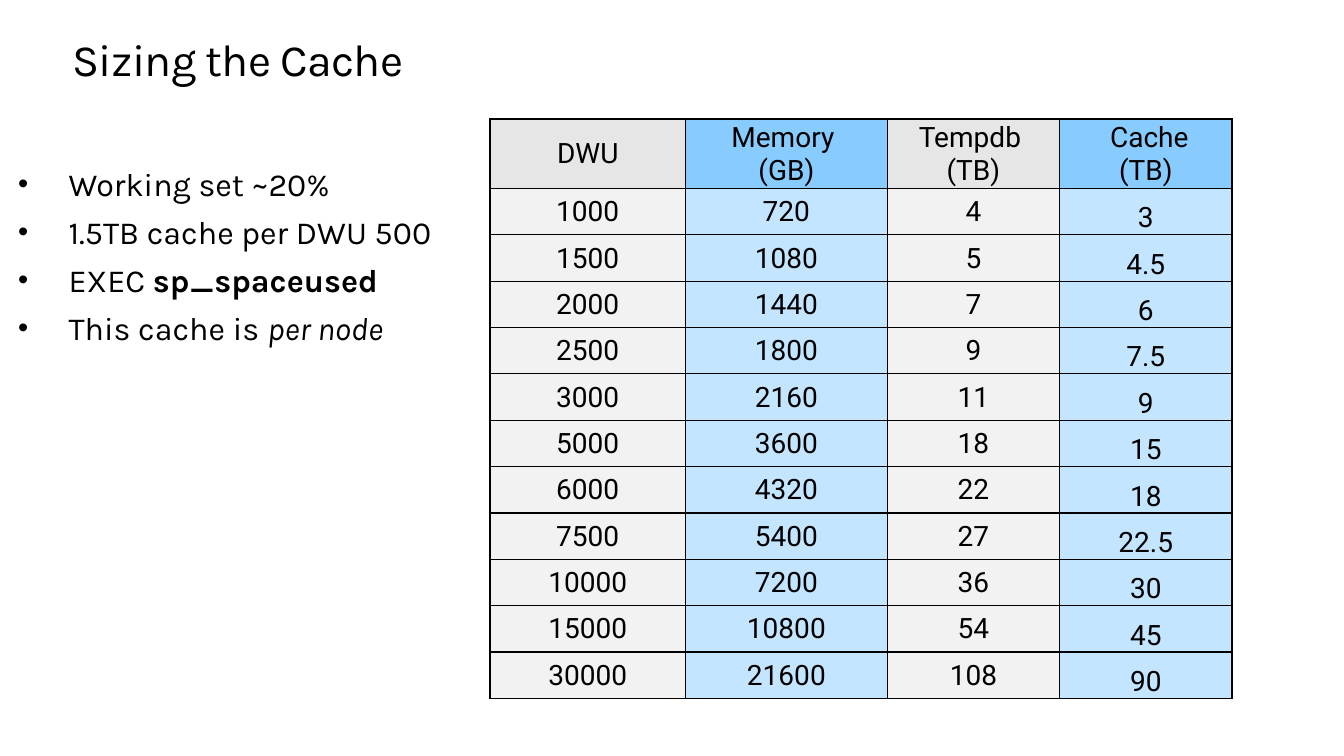
from lxml.etree import SubElement
from pptx import Presentation
from pptx.dml.color import RGBColor
from pptx.enum.text import MSO_ANCHOR, MSO_AUTO_SIZE, PP_ALIGN
from pptx.oxml.ns import qn
from pptx.util import Inches, Pt

BLACK = "000000"
BULLETS = [
    [("Working set ~20%", "")],
    [("1.5TB cache per DWU 500", "")],
    [("EXEC\u00a0", ""), ("sp_spaceused\u00a0", "bold")],
    [("This cache is ", ""), ("per node", "italic")],
]
HEADERS = ["DWU", "Memory \n(GB)", "Tempdb \n(TB)", " Cache\n(TB)"]
SIZES = [
    ("1000", "720", "4", "3"),
    ("1500", "1080", "5", "4.5"),
    ("2000", "1440", "7", "6"),
    ("2500", "1800", "9", "7.5"),
    ("3000", "2160", "11", "9"),
    ("5000", "3600", "18", "15"),
    ("6000", "4320", "22", "18"),
    ("7500", "5400", "27", "22.5"),
    ("10000", "7200", "36", "30"),
    ("15000", "10800", "54", "45"),
    ("30000", "21600", "108", "90"),
]
COLUMN_WIDTHS = [1.94, 2, 1.71, 1.71]
HEADER_HEIGHT, ROW_HEIGHT = 0.69, 0.46
HEADER_FILLS = ["E6E6E6", "88CBFF"]
BODY_FILLS = ["F2F2F2", "C3E5FF"]


def color(value):
    """Turn a hex string into a colour."""
    return RGBColor.from_string(value)


class SlideBuilder:
    """Hold the style and the current slide."""

    text_font = "Karla"
    table_font = "Roboto"

    def __init__(self, presentation):
        """Add a title and content slide."""
        self.slide = presentation.slides.add_slide(presentation.slide_layouts[1])

    def style(self, paragraph, name, size):
        """Set the font of a paragraph."""
        paragraph.font.name = name
        paragraph.font.size = Pt(size)
        paragraph.font.color.rgb = color(BLACK)

    def place(self, shape, left, top, width, height):
        """Place a placeholder and return its text frame."""
        shape.left, shape.top = Inches(left), Inches(top)
        shape.width, shape.height = Inches(width), Inches(height)
        frame = shape.text_frame
        frame.margin_left = frame.margin_right = 0
        frame.margin_top = frame.margin_bottom = 0
        frame.vertical_anchor = MSO_ANCHOR.TOP
        frame.word_wrap = True
        frame.auto_size = MSO_AUTO_SIZE.SHAPE_TO_FIT_TEXT
        return frame

    def title(self, text, *box):
        """Fill the title placeholder."""
        paragraph = self.place(self.slide.shapes.title, *box).paragraphs[0]
        run = paragraph.add_run()
        run.text = text
        run.font._element.set("spc", "-50")
        paragraph.alignment = PP_ALIGN.LEFT
        paragraph.line_spacing = Pt(36.2)
        self.style(paragraph, self.text_font, 32)

    def bullets(self, items, *box):
        """Fill the body placeholder with a bulleted list."""
        frame = self.place(self.slide.placeholders[1], *box)
        for index, runs in enumerate(items):
            paragraph = frame.add_paragraph() if index else frame.paragraphs[0]
            self.bullet(paragraph)
            paragraph.space_before = Pt(6.7 if index else 0)
            self.style(paragraph, self.text_font, 23)
            for text, emphasis in runs:
                run = paragraph.add_run()
                run.text = text
                if emphasis:
                    setattr(run.font, emphasis, True)

    def bullet(self, paragraph):
        """Give a paragraph a hanging bullet."""
        properties = paragraph._p.get_or_add_pPr()
        properties.set("marL", str(Inches(0.5)))
        properties.set("indent", str(-Inches(0.5)))
        bullet_color = SubElement(properties, qn("a:buClr"))
        SubElement(bullet_color, qn("a:srgbClr"), val=BLACK)
        SubElement(properties, qn("a:buSzPct"), val="90000")
        SubElement(properties, qn("a:buFont"), typeface="Arial")
        SubElement(properties, qn("a:buChar"), char="•")

    def table(self, rows, left, top, widths, heights):
        """Add a table with a header row."""
        table = self.slide.shapes.add_table(
            len(rows), len(widths), Inches(left), Inches(top),
            Inches(sum(widths)), Inches(sum(heights))).table
        table.first_row = table.horz_banding = False
        for column, width in zip(table.columns, widths):
            column.width = Inches(width)
        for row, height in zip(table.rows, heights):
            row.height = Inches(height)
        for row_index, values in enumerate(rows):
            fills = BODY_FILLS if row_index else HEADER_FILLS
            for column_index, text in enumerate(values):
                at_bottom = row_index > 0 and column_index == len(widths) - 1
                anchor = MSO_ANCHOR.BOTTOM if at_bottom else MSO_ANCHOR.MIDDLE
                self.cell(table.cell(row_index, column_index), text,
                          fills[column_index % 2], anchor)

    def cell(self, cell, text, fill, anchor):
        """Fill, frame and format a table cell."""
        cell.text = text
        cell.vertical_anchor = anchor
        cell.margin_left = cell.margin_right = cell.margin_top = Inches(0.01)
        cell.margin_bottom = 0
        for paragraph in cell.text_frame.paragraphs:
            paragraph.alignment = PP_ALIGN.CENTER
            self.style(paragraph, self.table_font, 20)
        properties = cell._tc.get_or_add_tcPr()
        for side in ("lnL", "lnR", "lnT", "lnB"):
            border = SubElement(properties, qn(f"a:{side}"), w=str(Pt(1)))
            solid = SubElement(border, qn("a:solidFill"))
            SubElement(solid, qn("a:srgbClr"), val=BLACK)
        cell.fill.solid()
        cell.fill.fore_color.rgb = color(fill)


def main():
    """Build and save the slide."""
    presentation = Presentation()
    presentation.slide_width = Inches(13.33)
    presentation.slide_height = Inches(7.5)
    builder = SlideBuilder(presentation)
    builder.title("Sizing the Cache", 0.72, 0.35, 11.9, 0.5)
    builder.bullets(BULLETS, 0.18, 1.63, 5.29, 1.84)
    heights = [HEADER_HEIGHT] + [ROW_HEIGHT] * len(SIZES)
    builder.table([HEADERS, *SIZES], 4.86, 1.18, COLUMN_WIDTHS, heights)
    presentation.save("out.pptx")


if __name__ == "__main__":
    main()
